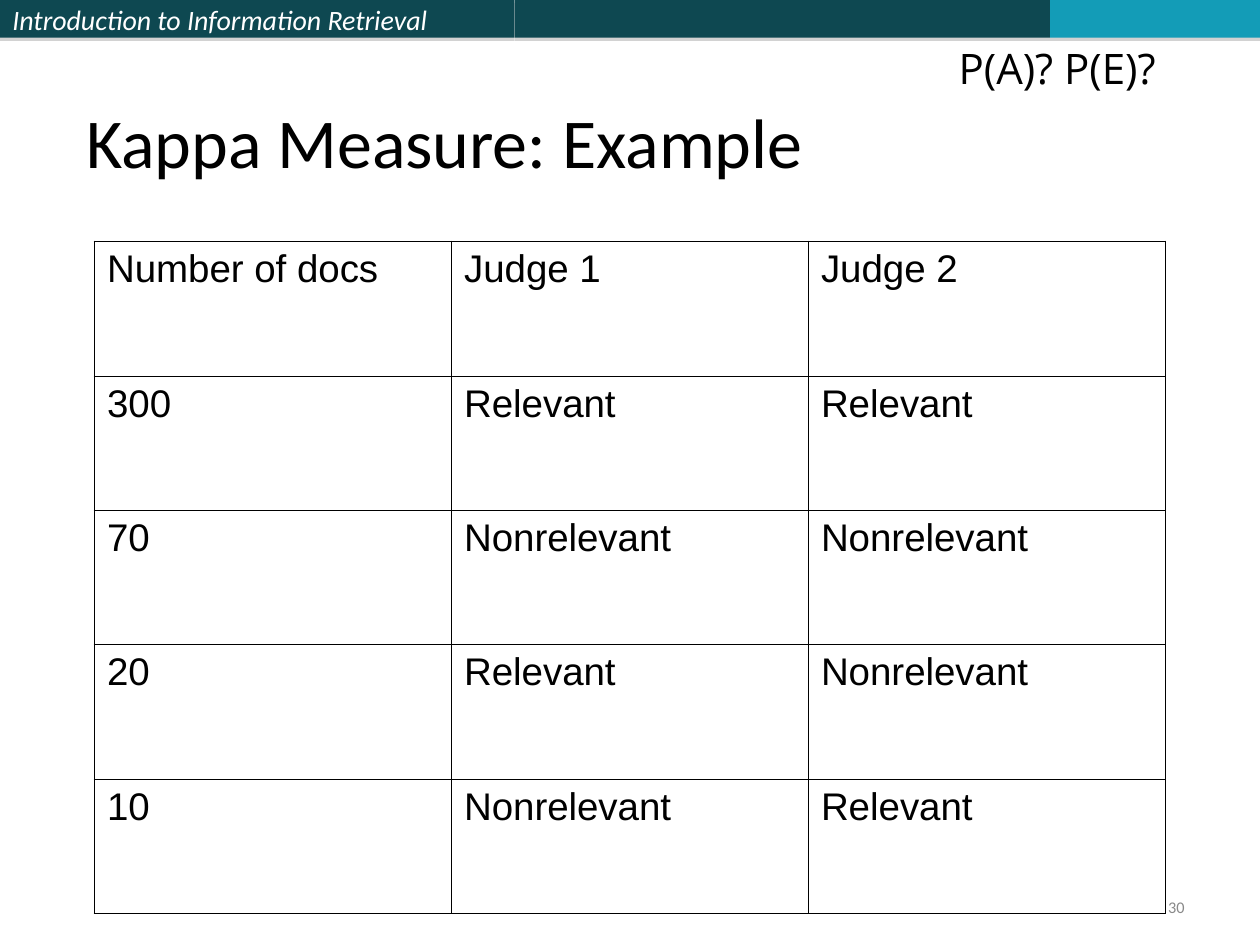
from dataclasses import dataclass

from lxml import etree
from pptx import Presentation
from pptx.dml.color import RGBColor
from pptx.enum.shapes import MSO_SHAPE
from pptx.enum.text import MSO_ANCHOR, MSO_AUTO_SIZE, PP_ALIGN
from pptx.oxml.ns import qn
from pptx.util import Pt

RECT = MSO_SHAPE.RECTANGLE
TOP, MIDDLE, BOTTOM = MSO_ANCHOR.TOP, MSO_ANCHOR.MIDDLE, MSO_ANCHOR.BOTTOM
LEFT, RIGHT = PP_ALIGN.LEFT, PP_ALIGN.RIGHT
FIT_SHAPE, NO_FIT = MSO_AUTO_SIZE.SHAPE_TO_FIT_TEXT, MSO_AUTO_SIZE.NONE

BLACK, WHITE, GREY = "000000", "FFFFFF", "898989"
DARK_TEAL, BRIGHT_TEAL = "0E4851", "139CB7"
INNER_LINE, OUTER_LINE = 0.45, 1.08


@dataclass
class Box:
    left: float
    top: float
    width: float
    height: float

    def points(self):
        return Pt(self.left), Pt(self.top), Pt(self.width), Pt(self.height)


@dataclass
class Style:
    font: str
    size: float
    color: str = BLACK
    italic: bool = False
    align: PP_ALIGN = LEFT


@dataclass
class Band:
    width: float
    color: str
    text: str = ""


BANDS = [
    Band(294, DARK_TEAL, "Introduction to Information Retrieval"),
    Band(306, DARK_TEAL),
    Band(120, BRIGHT_TEAL),
]
JUDGEMENTS = [
    ("Number of docs", "Judge 1", "Judge 2"),
    ("300", "Relevant", "Relevant"),
    ("70", "Nonrelevant", "Nonrelevant"),
    ("20", "Relevant", "Nonrelevant"),
    ("10", "Nonrelevant", "Relevant"),
]


def rgb(color: str) -> RGBColor:
    return RGBColor.from_string(color)


def write(tf, text: str, style: Style, anchor=TOP):
    tf.vertical_anchor = anchor
    p = tf.paragraphs[0]
    p.text = text
    p.alignment = style.align
    p.font.name = style.font
    p.font.size = Pt(style.size)
    p.font.italic = style.italic
    p.font.color.rgb = rgb(style.color)
    return p


def add_shadow(sp) -> None:
    """Give the shape a thin grey shadow straight below it."""
    effects = etree.SubElement(sp._element.spPr, qn("a:effectLst"))
    shadow = etree.SubElement(effects, qn("a:outerShdw"), blurRad="0",
                              dist=str(Pt(1.8)), dir="5400000", rotWithShape="0")
    color = etree.SubElement(shadow, qn("a:srgbClr"), val="808080")
    etree.SubElement(color, qn("a:alpha"), val="35000")


def add_header(s, bands: list[Band]) -> None:
    left = 0
    for band in bands:
        sp = s.shapes.add_shape(RECT, *Box(left, 0, band.width, 21.6).points())
        sp.fill.solid()
        sp.fill.fore_color.rgb = rgb(band.color)
        sp.line.fill.background()
        add_shadow(sp)
        if band.text:
            write(sp.text_frame, band.text, Style("Calibri", 16, WHITE, italic=True), MIDDLE)
        left += band.width


def add_text(s, box: Box, text: str, style: Style, anchor=TOP, wrap: bool = True):
    tf = s.shapes.add_textbox(*box.points()).text_frame
    tf.word_wrap = wrap
    tf.auto_size = NO_FIT if wrap else FIT_SHAPE
    return write(tf, text, style, anchor)


def set_border(cell, side: str, width: float) -> None:
    ln = etree.SubElement(cell._tc.get_or_add_tcPr(), qn(f"a:ln{side}"), w=str(Pt(width)))
    fill = etree.SubElement(ln, qn("a:solidFill"))
    etree.SubElement(fill, qn("a:srgbClr"), val=BLACK)


def add_grid(s, box: Box, rows: list[tuple], style: Style) -> None:
    """Add an unfilled table with equal cells and a heavier outer border."""
    n_rows, n_cols = len(rows), len(rows[0])
    table = s.shapes.add_table(n_rows, n_cols, *box.points()).table
    table.first_row = table.horz_banding = False
    for col in table.columns:
        col.width = Pt(box.width / n_cols)
    for row in table.rows:
        row.height = Pt(box.height / n_rows)
    for i, values in enumerate(rows):
        for j, value in enumerate(values):
            cell = table.cell(i, j)
            outer = {"L": j == 0, "R": j == n_cols - 1, "T": i == 0, "B": i == n_rows - 1}
            for side, is_outer in outer.items():
                set_border(cell, side, OUTER_LINE if is_outer else INNER_LINE)
            cell.fill.background()
            write(cell.text_frame, value, style)


def main() -> None:
    prs = Presentation()
    prs.slide_width, prs.slide_height = Pt(720), Pt(540)
    s = prs.slides.add_slide(prs.slide_layouts[5])

    add_header(s, BANDS)
    page = add_text(s, Box(516, 510, 168, 19.2), "30",
                    Style("Calibri", 9.3, GREY, align=RIGHT), MIDDLE)
    page.line_spacing = 0.8

    title = s.shapes.title
    title.left, title.top, title.width, title.height = Box(42, 30, 636, 78).points()
    title.text_frame.auto_size = NO_FIT
    write(title.text_frame, "Kappa Measure: Example", Style("Calibri", 40), BOTTOM)

    add_grid(s, Box(54, 138, 612, 384), JUDGEMENTS, Style("Arial", 22))
    add_text(s, Box(540.75, 21, 128, 36), "P(A)? P(E)?", Style("Open Sans", 24), wrap=False)
    prs.save("out.pptx")


if __name__ == "__main__":
    main()
